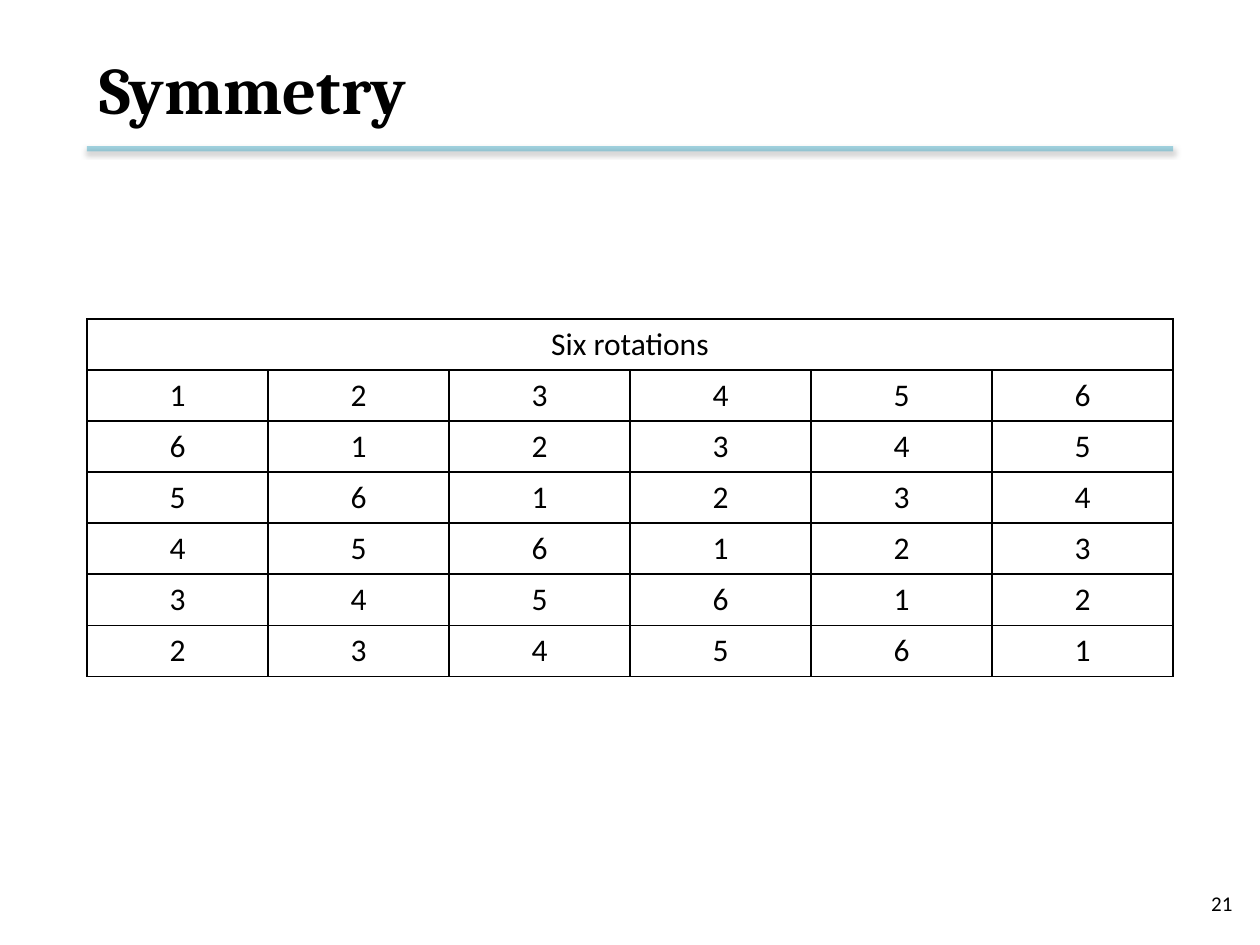
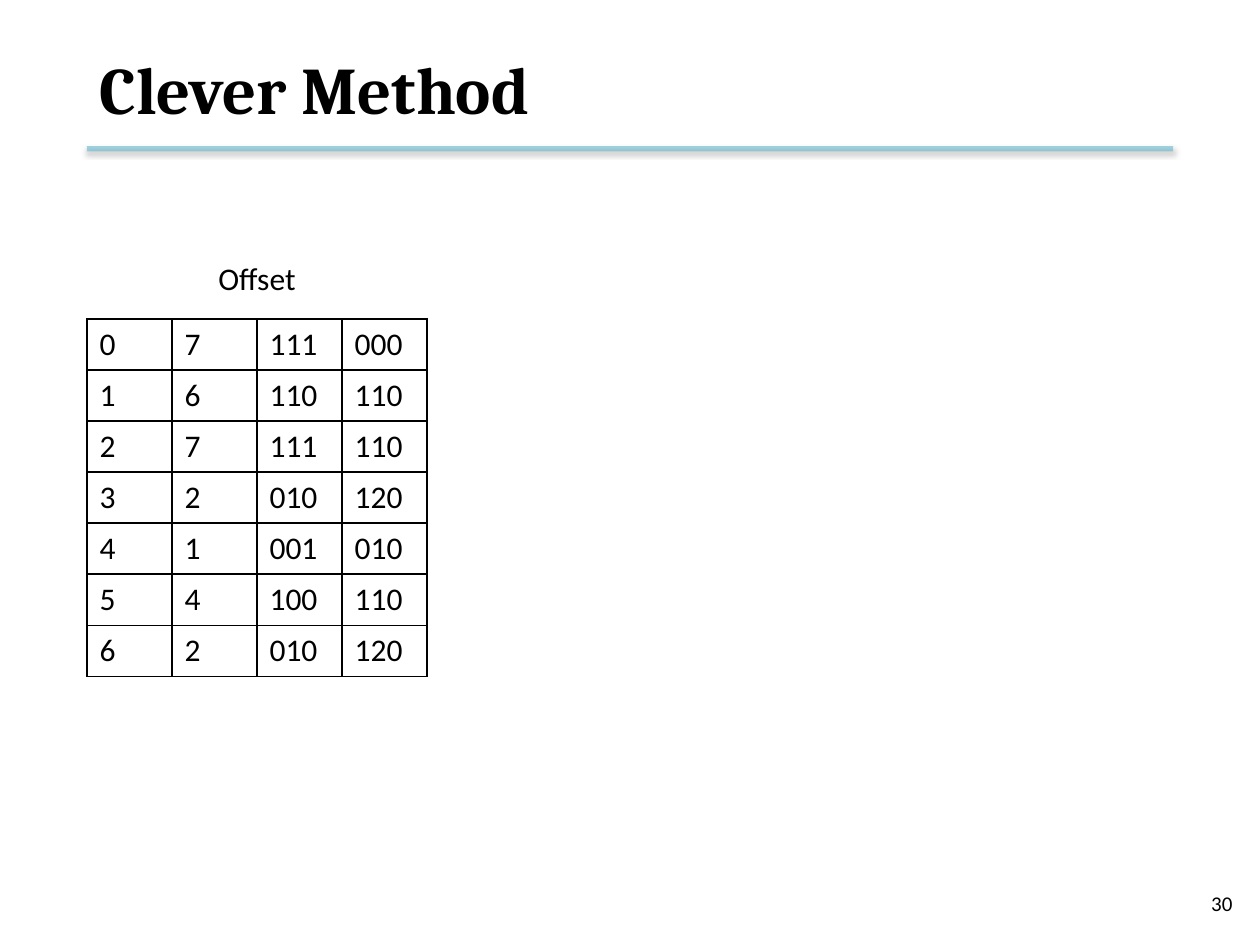
from lxml import etree
from pptx import Presentation
from pptx import util as u
from pptx.dml.color import RGBColor
from pptx.enum import shapes, text
from pptx.oxml import ns

BLACK, TEAL = "000000", "4BACC6"
BODY_FONT, TITLE_FONT = "Calibri", "Cambria"
LEFT, WIDTH = 49.68, 620.64
RULE_TOP = 84.96
TABLE_TOP, ROW_HEIGHT = 182.16, 29.2
LEFT_ALIGN, CENTER, RIGHT_ALIGN = (
    text.PP_ALIGN.LEFT, text.PP_ALIGN.CENTER, text.PP_ALIGN.RIGHT)


def color(hex_code):
    """Turn a hex string into a colour."""
    return RGBColor.from_string(hex_code)


def add_node(parent, tag, **attributes):
    """Append a drawing element with the given attributes."""
    values = {name: str(value) for name, value in attributes.items()}
    return etree.SubElement(parent, ns.qn(tag), values)


def write(frame, words, size, align, font=BODY_FONT, bold=False):
    """Write one run into the first paragraph of a text frame."""
    para = frame.paragraphs[0]
    para.alignment = align
    span = para.add_run()
    span.text = words
    span.font.name = font
    span.font.size = u.Pt(size)
    span.font.bold = bold
    span.font.color.rgb = color(BLACK)


def add_text(page, place, words, size, align=LEFT_ALIGN,
             anchor=text.MSO_ANCHOR.MIDDLE, **style):
    """Add a wrapping text box at left, top, width, height."""
    box = page.shapes.add_textbox(*[u.Pt(length) for length in place])
    box.text_frame.word_wrap = True
    box.text_frame.vertical_anchor = anchor
    write(box.text_frame, words, size, align, **style)


def add_title_rule(page):
    """Draw the translucent shadowed line under the title."""
    rule = page.shapes.add_connector(
        shapes.MSO_CONNECTOR.STRAIGHT, u.Pt(LEFT), u.Pt(RULE_TOP),
        u.Pt(LEFT + WIDTH), u.Pt(RULE_TOP))
    rule.line.width = u.Pt(3)
    rule.line.color.rgb = color(TEAL)
    properties = rule._element.spPr
    add_node(properties.find(".//" + ns.qn("a:srgbClr")), "a:alpha", val=50000)
    effects = add_node(properties, "a:effectLst")
    shadow = add_node(effects, "a:outerShdw", blurRad=u.Pt(3.1), dist=u.Pt(1.6),
                      dir=5400000, rotWithShape=0)
    shade = add_node(shadow, "a:srgbClr", val=BLACK)
    add_node(shade, "a:alpha", val=38000)


def add_page(deck, title, number):
    """Add a slide with its rule, page number and title."""
    page = deck.slides.add_slide(deck.slide_layouts[6])
    add_title_rule(page)
    add_text(page, (543.6, 501.84, 167.76, 28.8), str(number), 12, RIGHT_ALIGN)
    add_text(page, (LEFT, 12.24, WIDTH, 76.32), title, 38,
             font=TITLE_FONT, bold=True)
    return page


def style_cell(cell):
    """Give a cell thin black borders and no fill."""
    properties = cell._tc.get_or_add_tcPr()
    for side in ("a:lnL", "a:lnR", "a:lnT", "a:lnB"):
        border = add_node(properties, side, w=u.Pt(1))
        fill = add_node(border, "a:solidFill")
        add_node(fill, "a:srgbClr", val=BLACK)
    cell.fill.background()


def add_grid(page, rows, width, align, heading=None):
    """Add an even bordered table, with an optional heading across the top."""
    offset = 1 if heading else 0
    row_count, column_count = len(rows) + offset, len(rows[0])
    grid = page.shapes.add_table(
        row_count, column_count, u.Pt(LEFT), u.Pt(TABLE_TOP),
        u.Pt(width), u.Pt(ROW_HEIGHT * row_count)).table
    grid.first_row = grid.horz_banding = False
    for cell in grid.iter_cells():
        style_cell(cell)
    if heading:
        grid.cell(0, 0).merge(grid.cell(0, column_count - 1))
        write(grid.cell(0, 0).text_frame, heading, 18, CENTER)
    for row_index, row in enumerate(rows, offset):
        for column_index, value in enumerate(row):
            cell = grid.cell(row_index, column_index)
            write(cell.text_frame, str(value), 18, align)


def add_symmetry(deck):
    """Build the slide that lists the six rotations."""
    page = add_page(deck, "Symmetry", 21)
    rotations = [[(column - shift) % 6 + 1 for column in range(6)]
                 for shift in range(6)]
    add_grid(page, rotations, WIDTH, CENTER, "Six rotations")


def add_clever_method(deck):
    """Build the slide with the offset table."""
    page = add_page(deck, "Clever Method", 30)
    width = 194.4
    offsets = [
        (0, 7, "111", "000"),
        (1, 6, "110", "110"),
        (2, 7, "111", "110"),
        (3, 2, "010", "120"),
        (4, 1, "001", "010"),
        (5, 4, "100", "110"),
        (6, 2, "010", "120"),
    ]
    add_grid(page, offsets, width, LEFT_ALIGN)
    add_text(page, (LEFT, 144.72, width, 29), "Offset", 18, CENTER,
             text.MSO_ANCHOR.TOP)


def main():
    """Build and save the deck."""
    deck = Presentation()
    deck.slide_width, deck.slide_height = u.Pt(720), u.Pt(540)
    add_symmetry(deck)
    add_clever_method(deck)
    deck.save("out.pptx")


if __name__ == "__main__":
    main()
